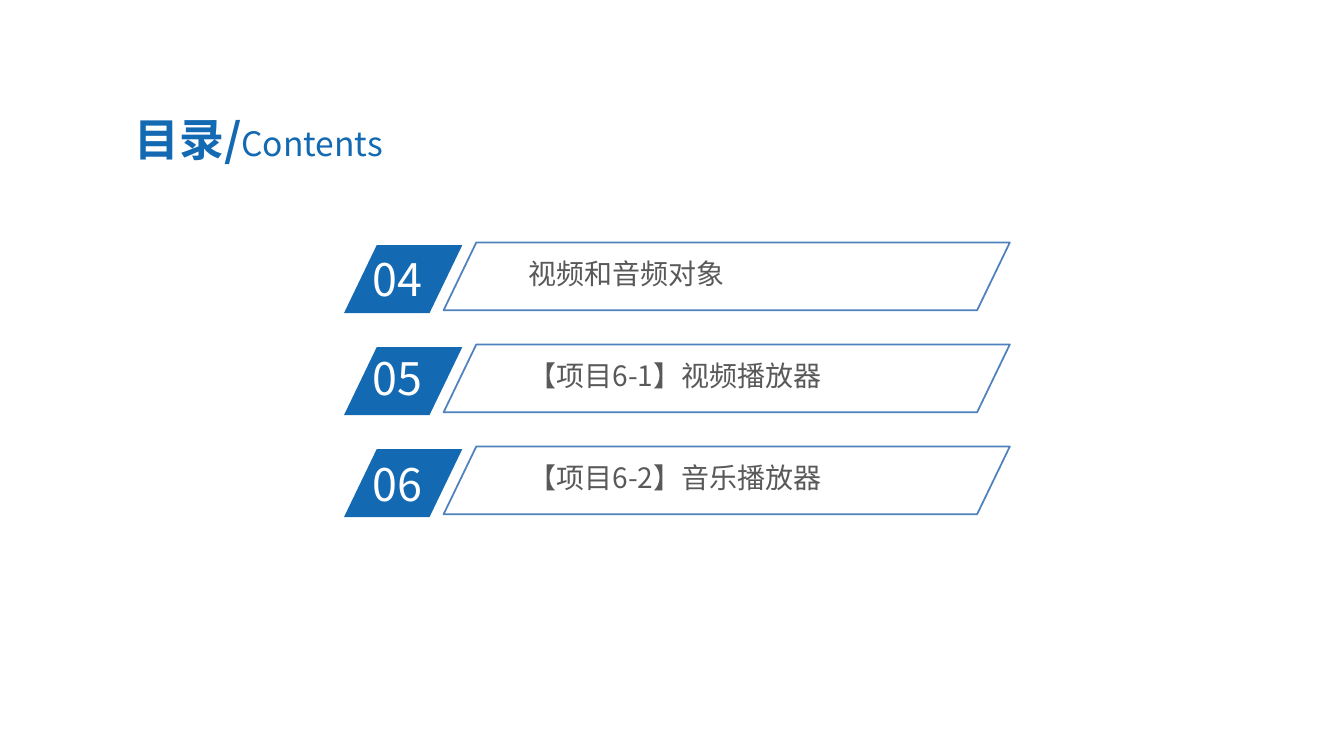
from pptx import Presentation
from pptx.dml.color import RGBColor
from pptx.enum.shapes import MSO_SHAPE as Shape
from pptx.enum.text import MSO_ANCHOR as Anchor, PP_ALIGN as Align
from pptx.util import Cm, Pt
from lxml import etree

BLUE = RGBColor(0x13, 0x69, 0xB2)
EDGE = RGBColor(0x4F, 0x81, 0xBD)
GREY = RGBColor(0x59, 0x59, 0x59)
WHITE = RGBColor(0xFF, 0xFF, 0xFF)
FONT = "Noto Sans CJK SC"
NS = "http://schemas.openxmlformats.org/drawingml/2006/main"

deck = Presentation()
deck.slide_width, deck.slide_height = Cm(33.87), Cm(19.05)
slide = deck.slides.add_slide(deck.slide_layouts[6])
shapes = slide.shapes


def add_text(left, top, width, height, pad, runs):
    """Add a one-line text box; runs holds (text, size, colour, bold)."""
    box = shapes.add_textbox(Cm(left), Cm(top), Cm(width), Cm(height))
    frame = box.text_frame
    frame.word_wrap = True
    frame.margin_left = frame.margin_right = Cm(pad)
    frame.margin_top = frame.margin_bottom = Cm(pad / 2)
    for text, size, color, bold in runs:
        run = frame.paragraphs[0].add_run()
        run.text = text
        font = run.font
        font.name, font.size, font.bold = FONT, Pt(size), bold
        font.color.rgb = color
        # East Asian glyphs take their typeface from a separate element
        etree.SubElement(run._r.rPr, f"{{{NS}}}ea", typeface=FONT)
    return frame


def add_slant(left, top, width):
    slant = shapes.add_shape(
        Shape.PARALLELOGRAM, Cm(left), Cm(top), Cm(width), Cm(1.71))
    slant.adjustments[0] = 0.482
    slant.shadow.inherit = False
    return slant


title = add_text(2.34, 2.59, 8.36, 1.83, 0.34, [
    ("目录/", 32, BLUE, True), ("Contents", 24, BLUE, False)])
title.vertical_anchor = Anchor.MIDDLE
title.paragraphs[0].alignment = Align.CENTER

# Number, its distance below the row's top, and topic
rows = [
    ("04", 0.12, "视频和音频对象"),
    ("05", 0.03, "【项目6-1】视频播放器"),
    ("06", 0.14, "【项目6-2】音乐播放器"),
]
for i, (num, drop, topic) in enumerate(rows):
    top = 6.11 + 2.57 * i

    badge = add_slant(8.67, top + 0.07, 2.98)
    badge.fill.solid()
    badge.fill.fore_color.rgb = BLUE
    badge.line.fill.background()
    add_text(9.14, top + drop, 2.84, 1.62, 0.25, [(num, 32, WHITE, False)])

    add_text(13.13, top + 0.26, 10.46, 1.09, 0.19,
             [(topic, 20, GREY, False)])
    bar = add_slant(11.18, top, 14.27)
    bar.fill.background()
    bar.line.color.rgb = EDGE
    bar.line.width = Pt(1.25)

deck.save("out.pptx")
